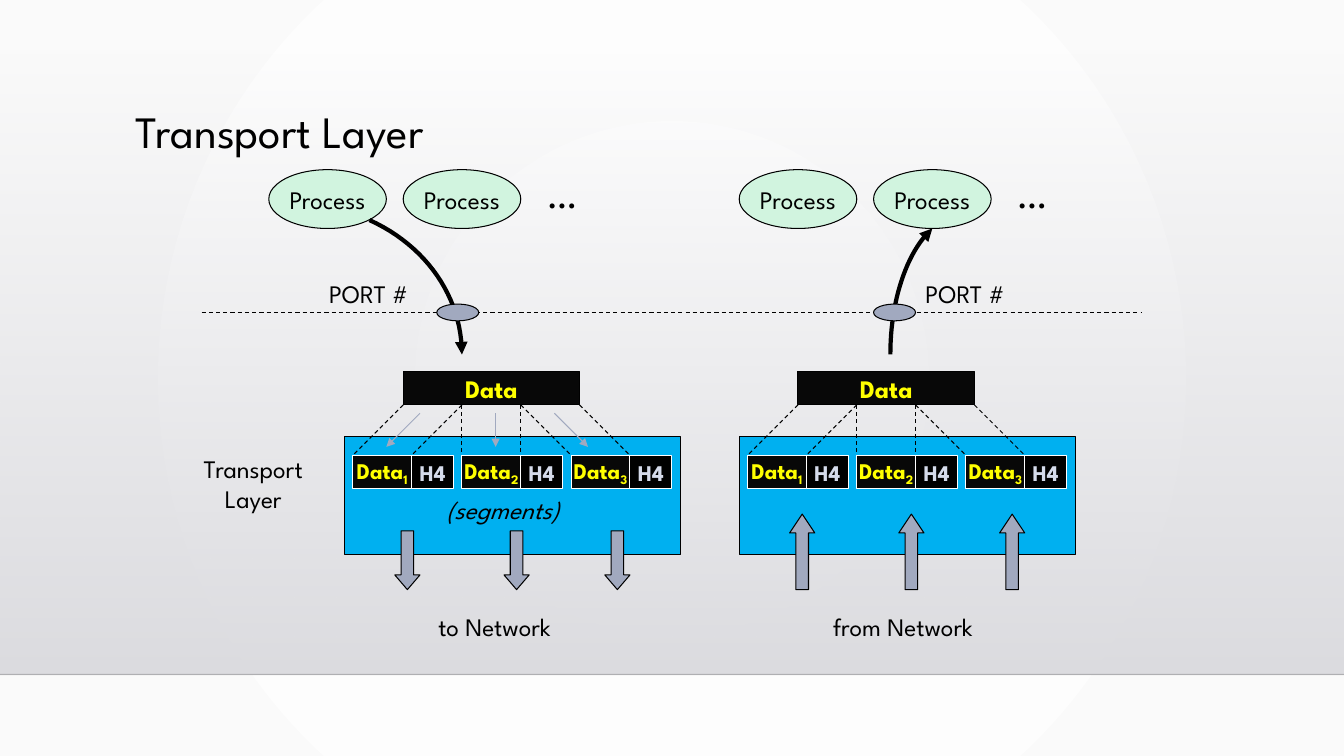
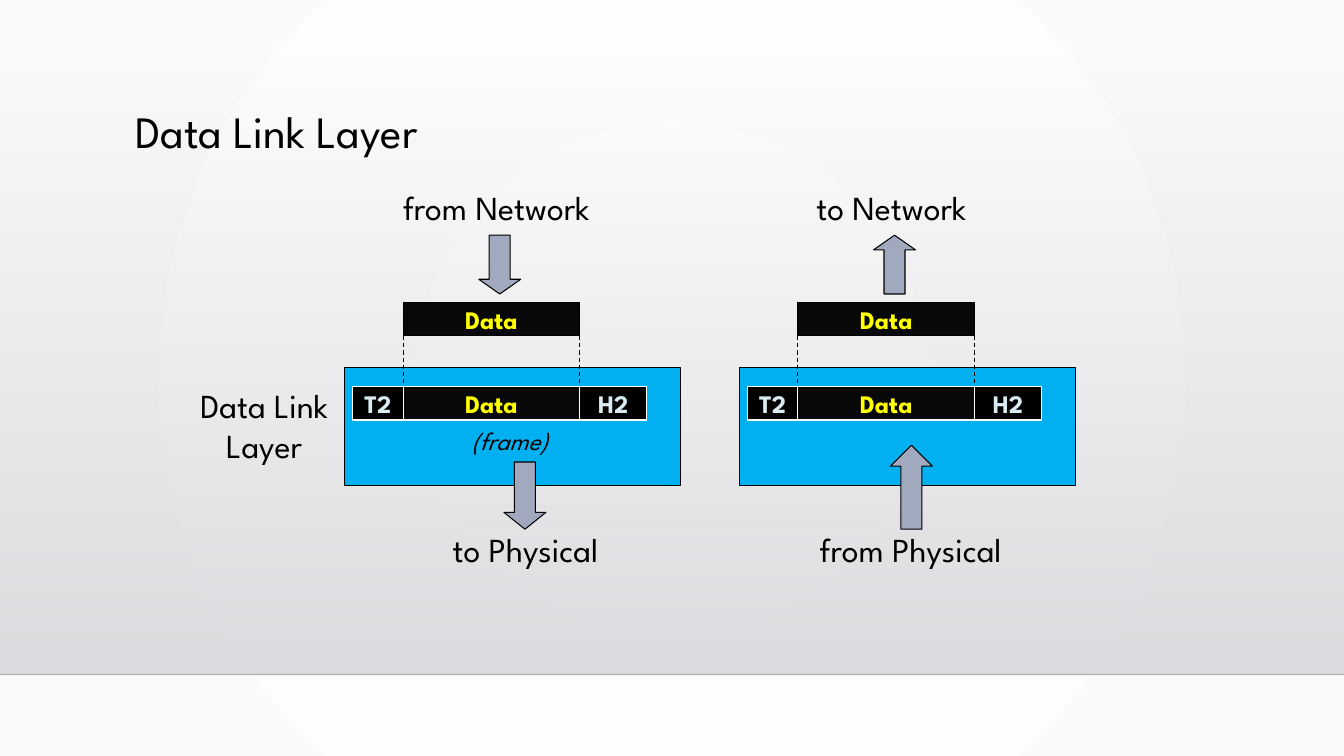
import dataclasses

import lxml.etree
import pptx
import pptx.dml.color
import pptx.enum.dml
import pptx.enum.shapes
import pptx.enum.text
import pptx.oxml.ns
import pptx.util

SHAPE = pptx.enum.shapes.MSO_SHAPE
ALIGN = pptx.enum.text.PP_ALIGN
ANCHOR = pptx.enum.text.MSO_ANCHOR
qn = pptx.oxml.ns.qn

COLS, ROWS = 160, 90
UNIT = pptx.util.Inches(1) // 12
LEFT, RIGHT = 41, 88


@dataclasses.dataclass(frozen=True)
class Theme:
    font: str = "League Spartan"
    ink: str = "000000"
    bar: str = "080808"
    white: str = "FFFFFF"
    data: str = "FFFF00"
    segment_header: str = "D5DBEB"
    frame_header: str = "D9EAF1"
    panel: str = "00B0F0"
    process: str = "D1F4DF"
    arrow: str = "A1A9BF"
    backdrop: tuple = ("FFFFFF", "FAFAFA")
    band: tuple = ("DCDCE0", "DEDEE2")
    rule: str = "000001"
    title: int = 32
    dots: int = 28
    large: int = 24
    body: int = 18
    small: int = 16
    thin: float = 0.75
    thick: float = 3


T = Theme()


def rgb(value):
    return pptx.dml.color.RGBColor.from_string(value)


def grid(*values):
    return [pptx.util.Emu(round(v * UNIT)) for v in values]


def add_alpha(element, percent):
    clr = next(element.iter(qn("a:srgbClr")))
    lxml.etree.SubElement(clr, qn("a:alpha")).set("val", str(percent * 1000))


def set_gradient(fill, colors):
    fill.gradient()
    for stop, color in zip(fill.gradient_stops, colors):
        stop.color.rgb = rgb(color)


def set_line(line, color, width):
    line.fill.solid()
    line.fill.fore_color.rgb = rgb(color)
    line.width = pptx.util.Pt(width)


def add_arrowhead(sp):
    ln = sp.element.spPr.find(qn("a:ln"))
    lxml.etree.SubElement(ln, qn("a:tailEnd")).set("type", "triangle")


def style_runs(p, size, color, bold=False, italic=False):
    for r in p.runs:
        r.font.name = T.font
        r.font.size = pptx.util.Pt(size)
        r.font.color.rgb = rgb(color)
        r.font.bold = bold
        r.font.italic = italic


def add_label(s, text, x, y, w, size=T.body, italic=False, align=ALIGN.LEFT):
    h = 1.2 + len(text.split("\v")) * size / 5
    sp = s.shapes.add_textbox(*grid(x, y, w, h))
    tf = sp.text_frame
    tf.text = text
    tf.word_wrap = False
    tf.auto_size = pptx.enum.text.MSO_AUTO_SIZE.SHAPE_TO_FIT_TEXT
    p = tf.paragraphs[0]
    p.alignment = align
    style_runs(p, size, T.ink, italic=italic)


def add_box(s, kind, x, y, w, h, fill, line=T.ink):
    sp = s.shapes.add_shape(kind, *grid(x, y, w, h))
    sp.shadow.inherit = False
    sp.fill.solid()
    sp.fill.fore_color.rgb = rgb(fill)
    set_line(sp.line, line, T.thin)
    return sp


def write_in(sp, text, color, size=T.body, bold=True, subscript=""):
    tf = sp.text_frame
    tf.text = text
    tf.word_wrap = False
    tf.vertical_anchor = ANCHOR.MIDDLE
    p = tf.paragraphs[0]
    p.alignment = ALIGN.CENTER
    if subscript:
        r = p.add_run()
        r.text = subscript
        r.font._element.set("baseline", "-25000")
    style_runs(p, size, color, bold)


def add_data(s, x, y, w, line=T.white, size=T.body, subscript=""):
    sp = add_box(s, SHAPE.RECTANGLE, x, y, w, 4, T.bar, line)
    write_in(sp, "Data", T.data, size, subscript=subscript)


def add_header(s, text, x, y, w, color, size=T.body):
    sp = add_box(s, SHAPE.RECTANGLE, x, y, w, 4, T.ink, T.white)
    write_in(sp, text, color, size)


def add_block_arrow(s, kind, x, y, w, h):
    sp = add_box(s, kind, x, y, w, h, T.arrow)
    sp.adjustments[1] = h / 4 / w


def add_line(s, x1, y1, x2, y2, color=T.ink, width=T.thin, dashed=False, arrow=False):
    sp = s.shapes.add_connector(
        pptx.enum.shapes.MSO_CONNECTOR.STRAIGHT, *grid(x1, y1, x2, y2))
    set_line(sp.line, color, width)
    if dashed:
        sp.line.dash_style = pptx.enum.dml.MSO_LINE.DASH
    if arrow:
        add_arrowhead(sp)
    lxml.etree.SubElement(sp.element.spPr, qn("a:effectLst"))
    return sp


def add_curve(s, *controls, steps=24):
    points = []
    for i in range(steps + 1):
        t = i / steps
        weights = ((1 - t) ** 3, 3 * t * (1 - t) ** 2, 3 * t * t * (1 - t), t ** 3)
        points.append(grid(*(sum(k * c[axis] for k, c in zip(weights, controls))
                             for axis in (0, 1))))
    builder = s.shapes.build_freeform(*points[0])
    builder.add_line_segments(points[1:], close=False)
    sp = builder.convert_to_shape()
    sp.shadow.inherit = False
    sp.fill.background()
    set_line(sp.line, T.ink, T.thick)
    add_arrowhead(sp)


def set_backdrop(prs):
    master = prs.slide_master
    set_gradient(master.background.fill, T.backdrop)
    lin = next(master.element.iter(qn("a:lin")))
    radial = lxml.etree.Element(qn("a:path"))
    radial.set("path", "circle")
    center = lxml.etree.SubElement(radial, qn("a:fillToRect"))
    for side in "ltrb":
        center.set(side, "50000")
    lin.getparent().replace(lin, radial)


def add_slide(prs, title):
    s = prs.slides.add_slide(prs.slide_layouts[6])
    band = s.shapes.add_shape(SHAPE.RECTANGLE, *grid(0, 6.1, COLS, 74.2))
    band.shadow.inherit = False
    set_gradient(band.fill, T.band)
    band.fill.gradient_angle = 270
    add_alpha(band.element.spPr, 0)
    band.line.fill.background()
    rule = add_line(s, 0, 80.3, COLS, 80.3, T.rule, 1)
    add_alpha(rule.element.spPr, 20)

    sp = s.shapes.add_textbox(*grid(14.9, 12.5, 126, 13.8))
    tf = sp.text_frame
    tf.text = title
    tf.word_wrap = True
    p = tf.paragraphs[0]
    p.line_spacing = 0.9
    style_runs(p, T.title, T.ink)
    return s


def add_layer(s, x, y):
    add_box(s, SHAPE.RECTANGLE, x, y + 7.8, 40, 14, T.panel)
    add_data(s, x + 7, y, 21, T.ink)


def add_segments(s, x, y):
    for k in range(3):
        cell, part = x + 1 + 13 * k, x + 7 + 7 * k
        add_data(s, cell, y + 10, 7, size=T.small, subscript=str(k + 1))
        add_header(s, "H4", cell + 7, y + 10, 5, T.segment_header, T.small)
        for edge in (0, 7):
            add_line(s, part + edge, y + 4, cell + edge, y + 10, dashed=True)


def add_frame(s, x, y):
    add_header(s, "T2", x + 1, y + 10, 6, T.frame_header)
    add_data(s, x + 7, y + 10, 21)
    add_header(s, "H2", x + 28, y + 10, 8, T.frame_header)
    for edge in (7, 28):
        add_line(s, x + edge, y + 4, x + edge, y + 10, dashed=True)


def add_processes(s, x, y):
    for k in range(2):
        sp = add_box(s, SHAPE.OVAL, x + 16 * k, y, 14, 7, T.process)
        write_in(sp, "Process", T.ink, bold=False)
    add_label(s, "…", x + 32, y - 0.6, 7.2, T.dots)


def add_port(s, label_x, mark_x, y):
    add_label(s, "PORT #", label_x, y - 4.6, 13)
    add_box(s, SHAPE.OVAL, mark_x, y - 1, 5, 2, T.arrow)


def build_transport(prs):
    s = add_slide(prs, "Transport Layer")
    y, port_y = 44.2, 37.2
    add_line(s, 24, port_y, 136, port_y, dashed=True)
    for x in (LEFT, RIGHT):
        add_layer(s, x, y)
        add_segments(s, x, y)
    add_label(s, "Transport\vLayer", 22.3, y + 9.2, 15.7, align=ALIGN.CENTER)
    add_label(s, "(segments)", 52, y + 14, 18.7, italic=True)
    for offset in (6, 19, 31):
        add_block_arrow(s, SHAPE.DOWN_ARROW, LEFT + offset, y + 19, 3, 7)
        add_block_arrow(s, SHAPE.UP_ARROW, RIGHT + offset, y + 17, 3, 9)
    add_label(s, "to Network", 51, y + 28, 18.5)
    add_label(s, "from Network", 98, y + 28, 22.1)
    for x1, x2 in ((50, 46), (59, 59), (66, 70)):
        add_line(s, x1, y + 5, x2, y + 9, T.arrow, arrow=True)
    for x in (32, 88):
        add_processes(s, x, 20.2)
    add_curve(s, (44, 26.2), (50.8, 29.3), (55, 35.4), (55, 42.2))
    add_curve(s, (106, 42.2), (106, 35.9), (107.9, 30), (111, 27.2))
    add_port(s, 38, 52, port_y)
    add_port(s, 109, 104, port_y)


def build_data_link(prs):
    s = add_slide(prs, "Data Link Layer")
    y = 36
    for x in (LEFT, RIGHT):
        add_layer(s, x, y)
        add_frame(s, x, y)
    add_label(s, "Data Link\vLayer", 21.2, y + 9.2, 20.5, T.large, align=ALIGN.CENTER)
    add_label(s, "(frame)", 55, y + 14, 13.4, italic=True)
    for text, x, top, w in (("from Network", 46.8, 21.7, 28.7),
                            ("to Network", 96, 21.7, 23.8),
                            ("to Physical", 52.7, 62.4, 23.2),
                            ("from Physical", 96.4, 62.4, 28.1)):
        add_label(s, text, x, top, w, T.large)
    for kind, x, top, h in ((SHAPE.DOWN_ARROW, 57, 28, 7),
                            (SHAPE.UP_ARROW, 104, 28, 7),
                            (SHAPE.DOWN_ARROW, 60, 55, 8),
                            (SHAPE.UP_ARROW, 106, 53, 10)):
        add_block_arrow(s, kind, x, top, 5, h)


def main():
    prs = pptx.Presentation()
    prs.slide_width, prs.slide_height = grid(COLS, ROWS)
    set_backdrop(prs)
    build_transport(prs)
    build_data_link(prs)
    prs.save("out.pptx")


if __name__ == "__main__":
    main()
